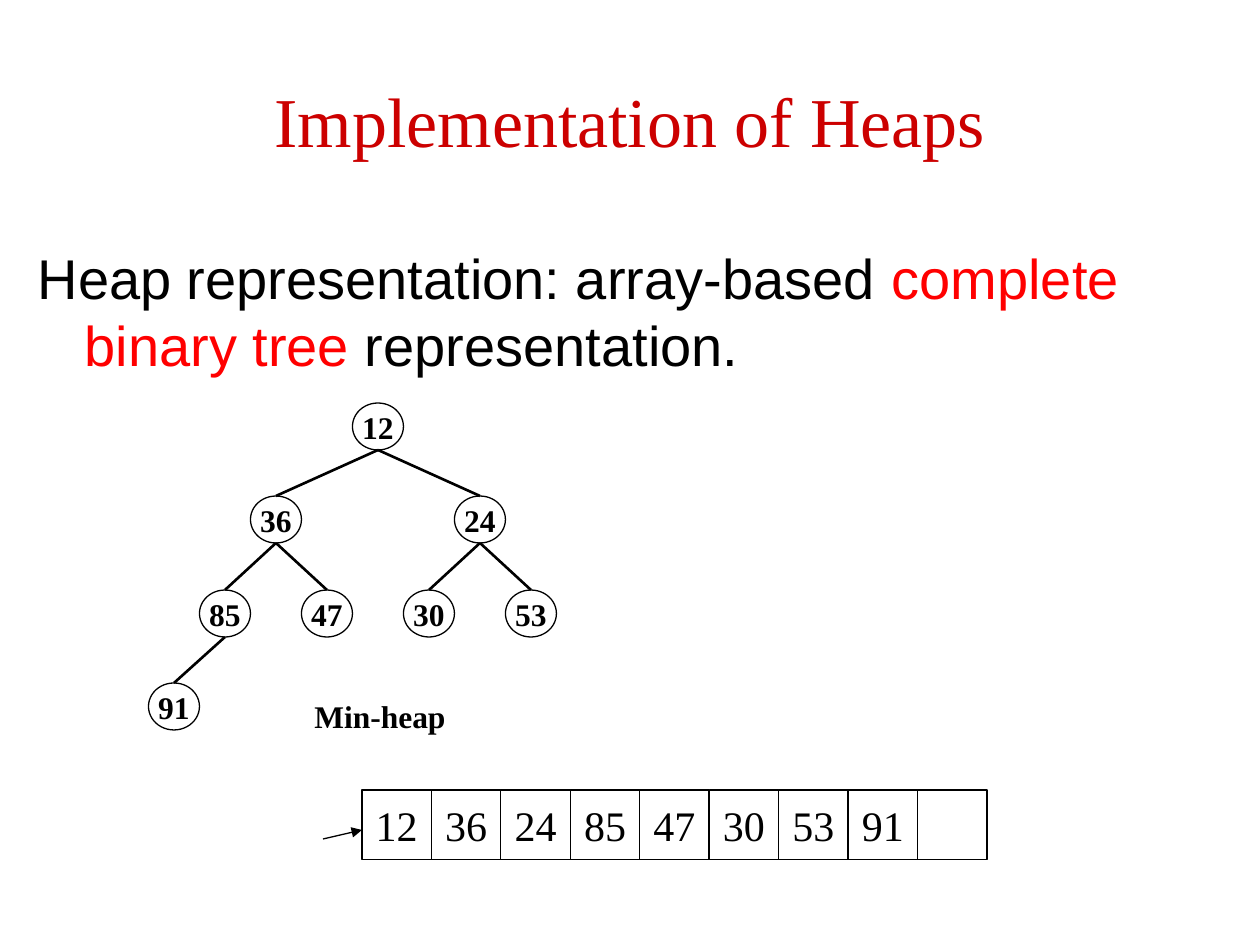
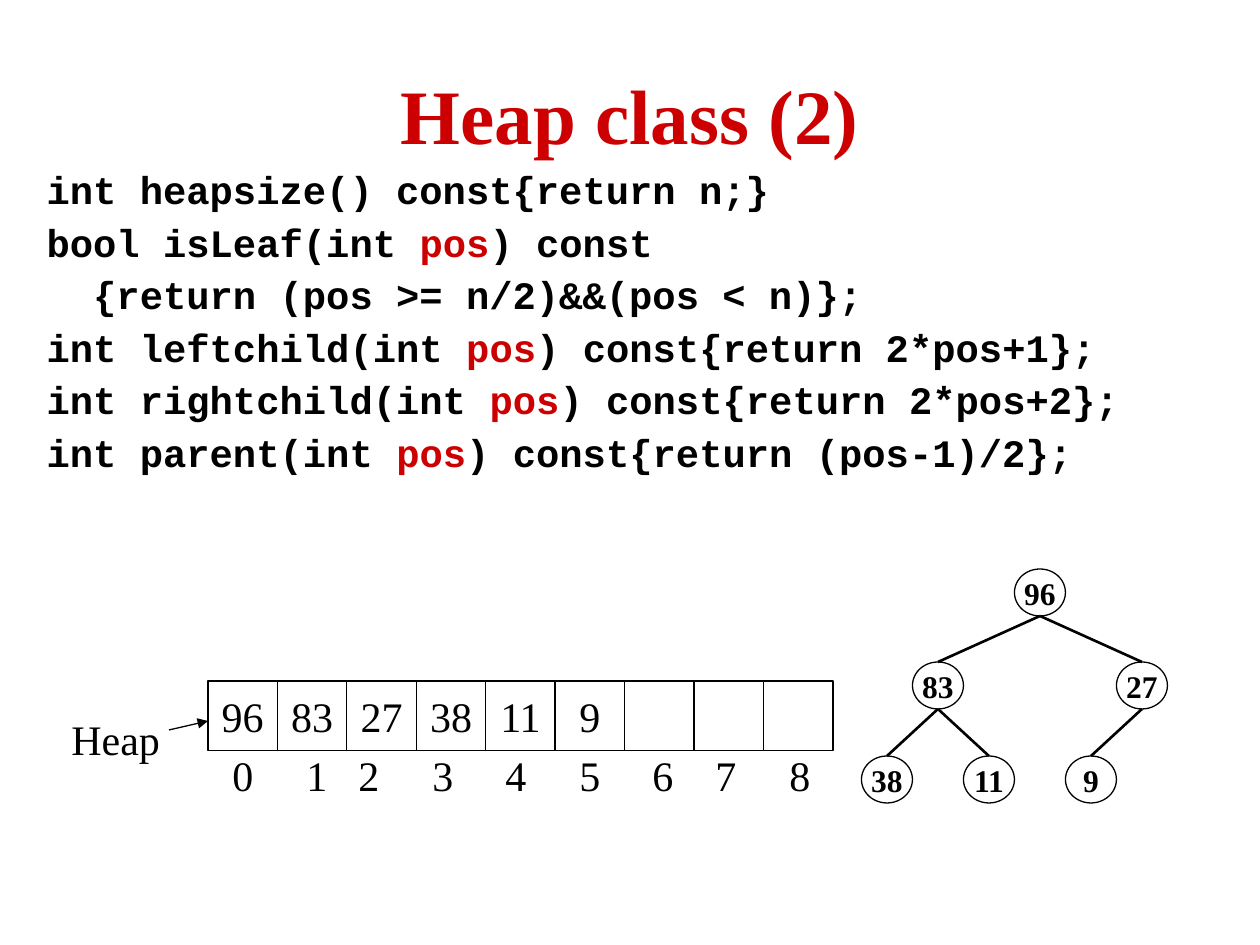
from dataclasses import dataclass

from lxml import etree
from pptx import Presentation
from pptx import util as u
from pptx.dml.color import RGBColor
from pptx.enum import shapes, text
from pptx.oxml import ns


@dataclass(frozen=True)
class Theme:
    ink: str = "000000"
    paper: str = "FFFFFF"
    title: str = "CC0000"
    accent: str = "FF0000"
    serif: str = "Times New Roman"
    sans: str = "Arial"
    mono: str = "Courier New"
    body_size: float = 32
    code_size: float = 22.2
    node_size: float = 18
    cell_size: float = 24
    thin: float = 0.75
    thick: float = 1.5


THEME = Theme()
SCALE = 914400 / 126
HANG = 47
NODE_WIDTH, NODE_HEIGHT = 51, 47
LEVEL_STEP = 93.4
LEVEL_SPREAD = (0, 102, 51, 51)
CELL_COUNT = 9
ARRAY_WIDTH = 625
CELL_SIZE = ARRAY_WIDTH / CELL_COUNT

SLIDES = [
    {
        "title": "Implementation of Heaps",
        "title_box": (94, 84, 1072, 71),
        "title_size": 40,
        "title_bold": False,
        "body": [[("Heap representation: array-based ", THEME.ink),
                  ("complete binary tree", THEME.accent),
                  (" representation.", THEME.ink)]],
        "body_box": (25, 237, 1140, 603),
        "body_font": (THEME.sans, THEME.body_size, False),
        "spacing": (1.0, 8),
        "heap": [12, 36, 24, 85, 47, 30, 53, 91],
        "root": (378, 403),
        "array": (362, 790),
        "labels": [("Min-heap", (302, 691, 165, 50), THEME.node_size, True, ())],
    },
    {
        "title": "Heap class (2)",
        "title_box": (63, 51, 1134, 126),
        "title_size": 44,
        "title_bold": True,
        "body": [
            [("int heapsize() const{return n;}", THEME.ink)],
            [("bool isLeaf(int ", THEME.ink), ("pos", THEME.title), (") const", THEME.ink)],
            [("  {return (pos >= n/2)&&(pos < n)};", THEME.ink)],
            [("int leftchild(int ", THEME.ink), ("pos", THEME.title),
             (") const{return 2*pos+1};", THEME.ink)],
            [("int rightchild(int ", THEME.ink), ("pos", THEME.title),
             (") const{return 2*pos+2};", THEME.ink)],
            [("int parent(int ", THEME.ink), ("pos", THEME.title),
             (") const{return (pos-1)/2};", THEME.ink)],
        ],
        "body_box": (34, 165, 1226, 340),
        "body_font": (THEME.mono, THEME.code_size, True),
        "spacing": (0.9, 6),
        "heap": [96, 83, 27, 38, 11, 9],
        "root": (1040, 569),
        "array": (208, 681),
        "labels": [
            ("Heap", (59, 707, 122, 63), THEME.cell_size, False, ()),
            ("0\t1\t2\t3\t4\t5\t6\t7\t8", (220, 743, 630, 63), THEME.cell_size, False,
             (74, 126, 200, 273, 347, 420, 483, 557)),
        ],
    },
]


def px(length):
    return u.Emu(round(length * SCALE))


def color(code):
    return RGBColor.from_string(code)


def place(shape, box):
    shape.left, shape.top, shape.width, shape.height = map(px, box)


def add_span(para, words, font, size, bold=False, ink=THEME.ink):
    span = para.add_run()
    span.text = words
    span.font.name = font
    span.font.size = u.Pt(size)
    span.font.bold = bold
    span.font.color.rgb = color(ink)


def add_title(page, content):
    title = page.shapes.title
    place(title, content["title_box"])
    frame = title.text_frame
    frame.auto_size = text.MSO_AUTO_SIZE.NONE
    frame.vertical_anchor = text.MSO_ANCHOR.MIDDLE
    para = frame.paragraphs[0]
    para.alignment = text.PP_ALIGN.CENTER
    add_span(para, content["title"], THEME.serif, content["title_size"],
             content["title_bold"], THEME.title)


def add_body(page, content):
    body = page.placeholders[1]
    place(body, content["body_box"])
    frame = body.text_frame
    frame.auto_size = text.MSO_AUTO_SIZE.NONE
    frame.vertical_anchor = text.MSO_ANCHOR.TOP
    font, size, bold = content["body_font"]
    line_spacing, gap = content["spacing"]
    for number, spans in enumerate(content["body"]):
        para = frame.add_paragraph() if number else frame.paragraphs[0]
        props = para._p.get_or_add_pPr()
        props.set("marL", str(px(HANG)))
        props.set("indent", str(px(-HANG)))
        etree.SubElement(props, ns.qn("a:buNone"))
        para.line_spacing = line_spacing
        para.space_before = u.Pt(gap if number else 0)
        for words, ink in spans:
            add_span(para, words, font, size, bold, ink)


def add_line(page, start, end, weight, arrow=False):
    line = page.shapes.add_connector(
        shapes.MSO_CONNECTOR.STRAIGHT, *map(px, (*start, *end)))
    line.line.color.rgb = color(THEME.ink)
    line.line.width = u.Pt(weight)
    if arrow:
        etree.SubElement(line.line._get_or_add_ln(), ns.qn("a:tailEnd"), type="triangle")
    etree.SubElement(line._element.spPr, ns.qn("a:effectLst"))
    return line


def add_box(page, kind, box, words, size, bold=False, fill=None):
    shape = page.shapes.add_shape(kind, *map(px, box))
    shape.shadow.inherit = False
    if fill:
        shape.fill.solid()
        shape.fill.fore_color.rgb = color(fill)
    else:
        shape.fill.background()
    shape.line.color.rgb = color(THEME.ink)
    shape.line.width = u.Pt(THEME.thin)
    if words:
        frame = shape.text_frame
        frame.word_wrap = False
        frame.margin_left = frame.margin_right = 0
        frame.margin_top = frame.margin_bottom = px(6)
        frame.vertical_anchor = text.MSO_ANCHOR.MIDDLE
        para = frame.paragraphs[0]
        para.alignment = text.PP_ALIGN.CENTER
        add_span(para, words, THEME.serif, size, bold)
    return shape


def add_tree(page, values, root):
    centers = []
    for index, value in enumerate(values):
        level = (index + 1).bit_length() - 1
        center = root[0]
        if index:
            side = -1 if index % 2 else 1
            center = centers[(index - 1) // 2][0] + side * LEVEL_SPREAD[level]
        top = round(root[1] + level * LEVEL_STEP)
        centers.append((center, top))
        node = add_box(page, shapes.MSO_SHAPE.OVAL,
                       (center - NODE_WIDTH / 2, top, NODE_WIDTH, NODE_HEIGHT),
                       str(value), THEME.node_size, True, THEME.paper)
        if index:
            parent_x, parent_top = centers[(index - 1) // 2]
            edge = add_line(page, (parent_x, parent_top + NODE_HEIGHT),
                            (center, top), THEME.thick)
            edge.end_connect(node, 0)


def add_array(page, values, corner):
    left, top = corner
    for index in range(CELL_COUNT):
        words = str(values[index]) if index < len(values) else ""
        add_box(page, shapes.MSO_SHAPE.RECTANGLE,
                (left + index * CELL_SIZE, top, CELL_SIZE, CELL_SIZE),
                words, THEME.cell_size)
    add_line(page, (left - 39, top + 49), (left, top + 40), THEME.thin, arrow=True)


def add_label(page, words, box, size, bold, stops):
    label = page.shapes.add_textbox(*map(px, box))
    frame = label.text_frame
    frame.word_wrap = True
    para = frame.paragraphs[0]
    if stops:
        tabs = etree.SubElement(para._p.get_or_add_pPr(), ns.qn("a:tabLst"))
        for stop in stops:
            etree.SubElement(tabs, ns.qn("a:tab"), pos=str(px(stop)), algn="l")
    add_span(para, words, THEME.serif, size, bold)


def main():
    deck = Presentation()
    deck.slide_width, deck.slide_height = px(1260), px(945)
    for content in SLIDES:
        page = deck.slides.add_slide(deck.slide_layouts[1])
        add_title(page, content)
        add_body(page, content)
        add_tree(page, content["heap"], content["root"])
        add_array(page, content["heap"], content["array"])
        for label in content["labels"]:
            add_label(page, *label)
    deck.save("out.pptx")


if __name__ == "__main__":
    main()
